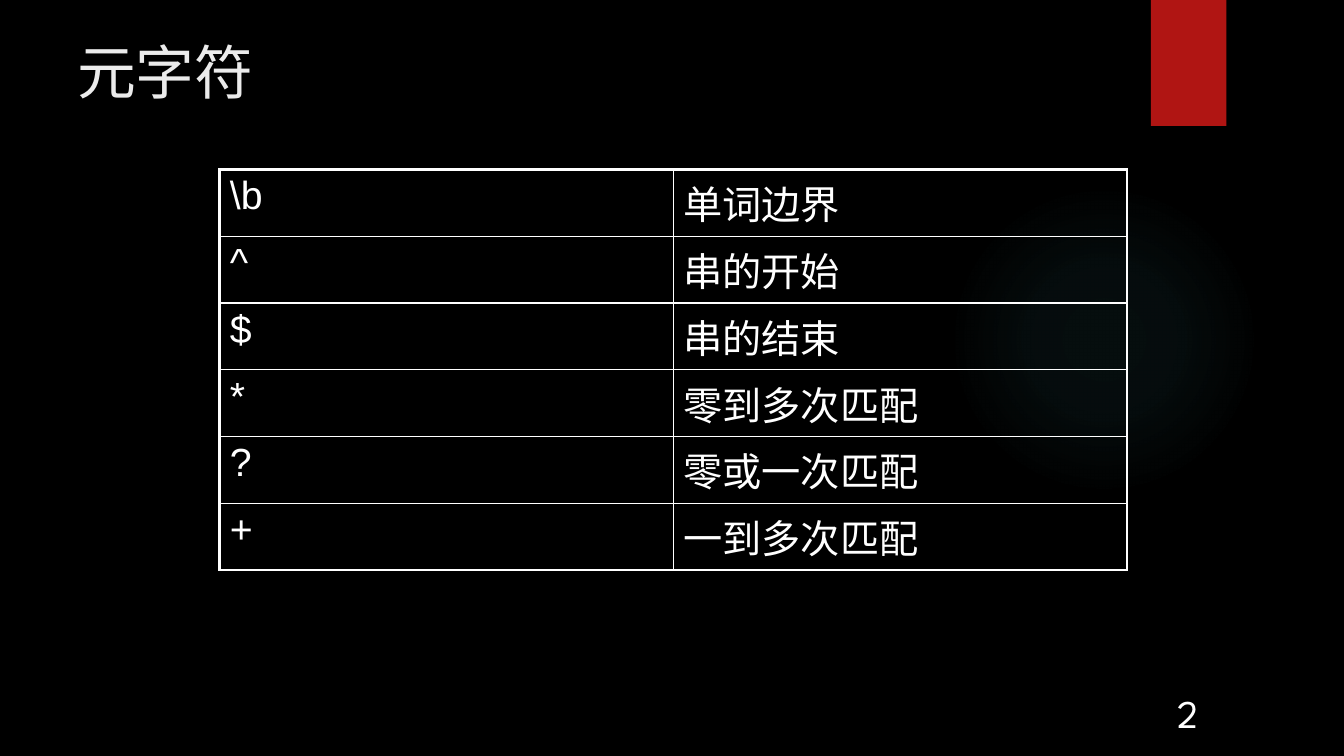
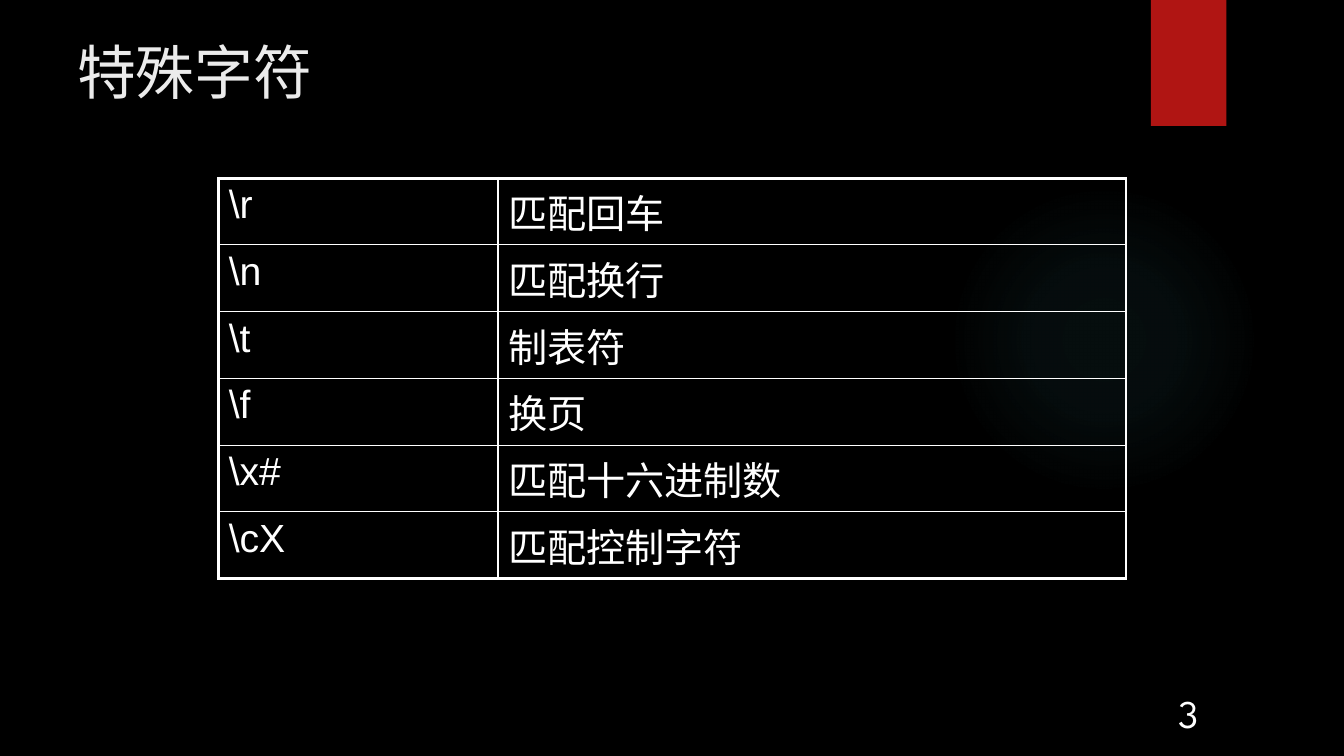
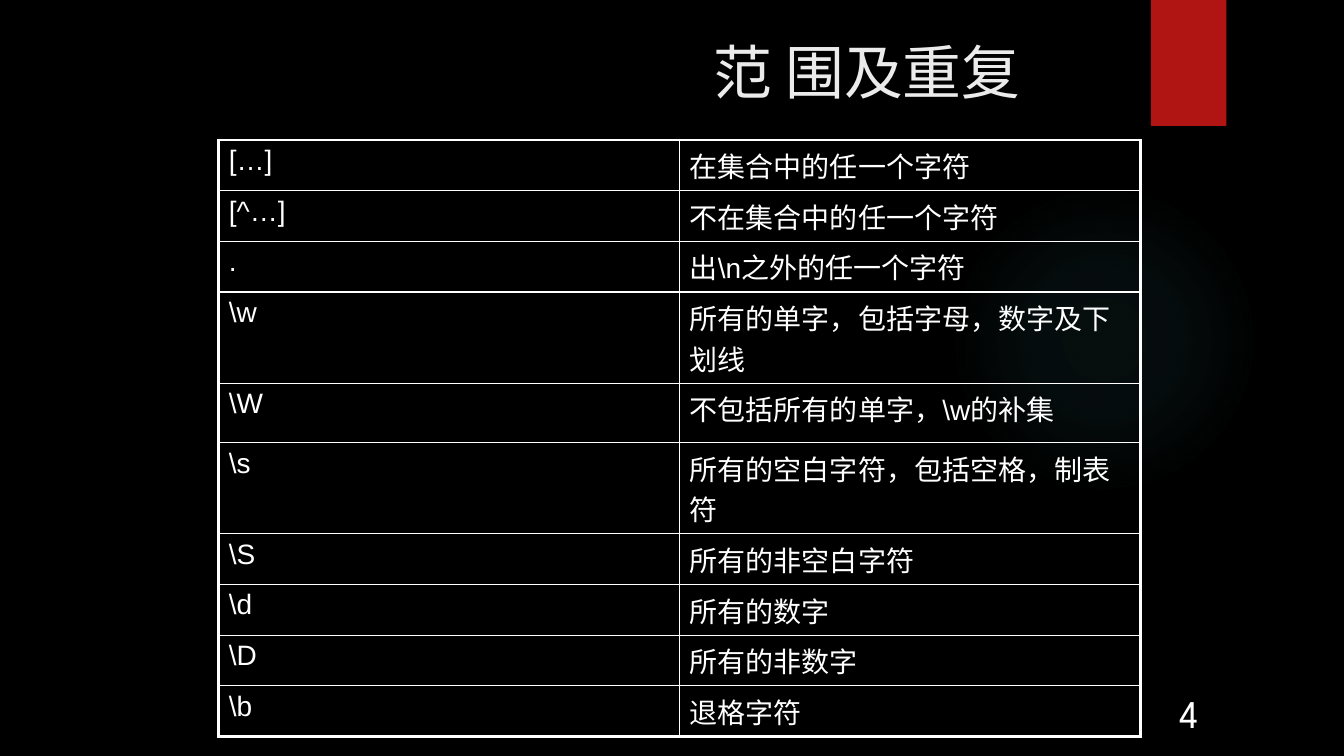
from dataclasses import dataclass, field

from pptx import Presentation
from pptx.dml.color import RGBColor
from pptx.enum.lang import MSO_LANGUAGE_ID
from pptx.enum.shapes import MSO_SHAPE
from pptx.enum.text import MSO_ANCHOR, PP_ALIGN
from pptx.oxml import parse_xml
from pptx.oxml.ns import nsdecls
from pptx.presentation import Presentation as Deck
from pptx.shapes.autoshape import Shape
from pptx.slide import Slide
from pptx.table import _Cell
from pptx.text.text import _Paragraph
from pptx.util import Pt

RECTANGLE = MSO_SHAPE.RECTANGLE
OVAL = MSO_SHAPE.OVAL
MIDDLE = MSO_ANCHOR.MIDDLE
BOTTOM = MSO_ANCHOR.BOTTOM
LEFT = PP_ALIGN.LEFT
CENTER = PP_ALIGN.CENTER
CHINESE = MSO_LANGUAGE_ID.SIMPLIFIED_CHINESE

BLACK = "000000"
WHITE = "FFFFFF"
TITLE_GREY = "EBEBEB"
RIBBON_RED = "B01513"
GLOW_TEAL = "50B9C1"

HEADING_FONT = "League Spartan"
TABLE_FONT = "Arial"
OUTER_BORDER = 2.25
INNER_BORDER = 1
GLOW_STOPS = ((0, 7), (36, 6), (69, 0))  # position and opacity in percent


@dataclass(frozen=True)
class Box:
    left: float
    top: float
    width: float
    height: float

    def lengths(self) -> tuple[Pt, Pt, Pt, Pt]:
        return Pt(self.left), Pt(self.top), Pt(self.width), Pt(self.height)


@dataclass(frozen=True)
class TextStyle:
    font: str
    size: float
    color: str
    align: PP_ALIGN = LEFT
    anchor: MSO_ANCHOR = MIDDLE


@dataclass(frozen=True)
class PatternTable:
    left: float
    top: float
    columns: tuple[float, float]
    row_height: float
    size: float
    rows: list[tuple[str, str]]
    tall_rows: dict[str, float] = field(default_factory=dict)


@dataclass(frozen=True)
class Topic:
    number: int
    title: str
    table: PatternTable
    title_box: Box = Box(48, 20, 864, 61)


GLOW_BOX = Box(677.5, 131.75, 221.75, 221.75)
RIBBON_BOX = Box(822, 0, 54, 90)
# The number stands under the ribbon, to the right of every table.
NUMBER_BOX = Box(RIBBON_BOX.left, 491.75, RIBBON_BOX.width, 37.5)
TITLE_STYLE = TextStyle(HEADING_FONT, 42, TITLE_GREY)
NUMBER_STYLE = TextStyle(HEADING_FONT, 28, WHITE, CENTER, BOTTOM)

TOPICS = [
    Topic(2, "元字符", PatternTable(157, 121, (324, 324), 47.7, 28, [
        (r"\b", "单词边界"),
        ("^", "串的开始"),
        ("$", "串的结束"),
        ("*", "零到多次匹配"),
        ("?", "零或一次匹配"),
        ("+", "一到多次匹配"),
    ])),
    Topic(3, "特殊字符", PatternTable(156.25, 127.25, (199.5, 448.5), 47.7, 28, [
        (r"\r", "匹配回车"),
        (r"\n", "匹配换行"),
        (r"\t", "制表符"),
        (r"\f", "换页"),
        (r"\x#", "匹配十六进制数"),
        (r"\cX", "匹配控制字符"),
    ])),
    Topic(4, "范 围及重复", PatternTable(156.25, 100, (329.25, 329.25), 36.2, 20, [
        ("[…]", "在集合中的任一个字符"),
        ("[^…]", "不在集合中的任一个字符"),
        (".", r"出\n之外的任一个字符"),
        (r"\w", "所有的单字，包括字母，数字及下划线"),
        (r"\W", r"不包括所有的单字，\w的补集"),
        (r"\s", "所有的空白字符，包括空格，制表符"),
        (r"\S", "所有的非空白字符"),
        (r"\d", "所有的数字"),
        (r"\D", "所有的非数字"),
        (r"\b", "退格字符"),
    ], {r"\w": 65.1, r"\W": 42.5, r"\s": 65.1}), Box(502.5, 20, 301.5, 61)),
]


def rgb(color: str) -> RGBColor:
    return RGBColor.from_string(color)


def add_run(paragraph: _Paragraph, text: str, style: TextStyle) -> None:
    paragraph.alignment = style.align
    run = paragraph.add_run()
    run.text = text
    run.font.name = style.font
    run.font.size = Pt(style.size)
    run.font.color.rgb = rgb(style.color)
    run.font.language_id = CHINESE


def add_text(slide: Slide, box: Box, text: str, style: TextStyle) -> None:
    frame = slide.shapes.add_textbox(*box.lengths()).text_frame
    frame.word_wrap = True
    frame.vertical_anchor = style.anchor
    add_run(frame.paragraphs[0], text, style)


def add_plain_shape(slide: Slide, kind: MSO_SHAPE, box: Box) -> Shape:
    """Add a shape without line or shadow; the caller fills it."""
    shape = slide.shapes.add_shape(kind, *box.lengths())
    shape.shadow.inherit = False
    shape.line.fill.background()
    return shape


def add_glow(slide: Slide) -> None:
    glow = add_plain_shape(slide, OVAL, GLOW_BOX)
    stops = "".join(
        f'<a:gs pos="{position * 1000}"><a:srgbClr val="{GLOW_TEAL}">'
        f'<a:alpha val="{opacity * 1000}"/></a:srgbClr></a:gs>'
        for position, opacity in GLOW_STOPS
    )
    gradient = parse_xml(
        f'<a:gradFill {nsdecls("a")}><a:gsLst>{stops}</a:gsLst><a:path path="circle">'
        '<a:fillToRect l="50000" t="50000" r="50000" b="50000"/></a:path></a:gradFill>'
    )
    glow.element.spPr.insert(2, gradient)


def add_ribbon(slide: Slide) -> None:
    ribbon = add_plain_shape(slide, RECTANGLE, RIBBON_BOX)
    ribbon.fill.solid()
    ribbon.fill.fore_color.rgb = rgb(RIBBON_RED)


def set_borders(cell: _Cell, outer_sides: dict[str, bool]) -> None:
    """Draw the four borders, heavier on the sides marked as outer."""
    properties = cell._tc.get_or_add_tcPr()
    for side, is_outer in outer_sides.items():
        width = Pt(OUTER_BORDER if is_outer else INNER_BORDER)
        properties.append(parse_xml(
            f'<a:ln{side} {nsdecls("a")} w="{width}"><a:solidFill>'
            f'<a:srgbClr val="{WHITE}"/></a:solidFill></a:ln{side}>'
        ))


def add_pattern_table(slide: Slide, spec: PatternTable) -> None:
    heights = [spec.tall_rows.get(pattern, spec.row_height) for pattern, _ in spec.rows]
    box = Box(spec.left, spec.top, sum(spec.columns), sum(heights))
    table = slide.shapes.add_table(len(heights), len(spec.columns), *box.lengths()).table
    table.first_row = False
    table.horz_banding = False
    style = TextStyle(TABLE_FONT, spec.size, WHITE)
    for column, width in zip(table.columns, spec.columns):
        column.width = Pt(width)
    for r, (height, texts) in enumerate(zip(heights, spec.rows)):
        table.rows[r].height = Pt(height)
        for c, text in enumerate(texts):
            cell = table.cell(r, c)
            set_borders(cell, {
                "L": c == 0,
                "R": c == len(texts) - 1,
                "T": r == 0,
                "B": r == len(heights) - 1,
            })
            cell.fill.background()
            add_run(cell.text_frame.paragraphs[0], text, style)


def add_topic(deck: Deck, topic: Topic) -> None:
    slide = deck.slides.add_slide(deck.slide_layouts[6])
    add_glow(slide)
    add_ribbon(slide)
    add_text(slide, topic.title_box, topic.title, TITLE_STYLE)
    add_pattern_table(slide, topic.table)
    add_text(slide, NUMBER_BOX, str(topic.number), NUMBER_STYLE)


def main() -> None:
    deck = Presentation()
    deck.slide_width, deck.slide_height = Pt(960), Pt(540)
    background = deck.slide_master.background.fill
    background.solid()
    background.fore_color.rgb = rgb(BLACK)
    for topic in TOPICS:
        add_topic(deck, topic)
    deck.save("out.pptx")


if __name__ == "__main__":
    main()
